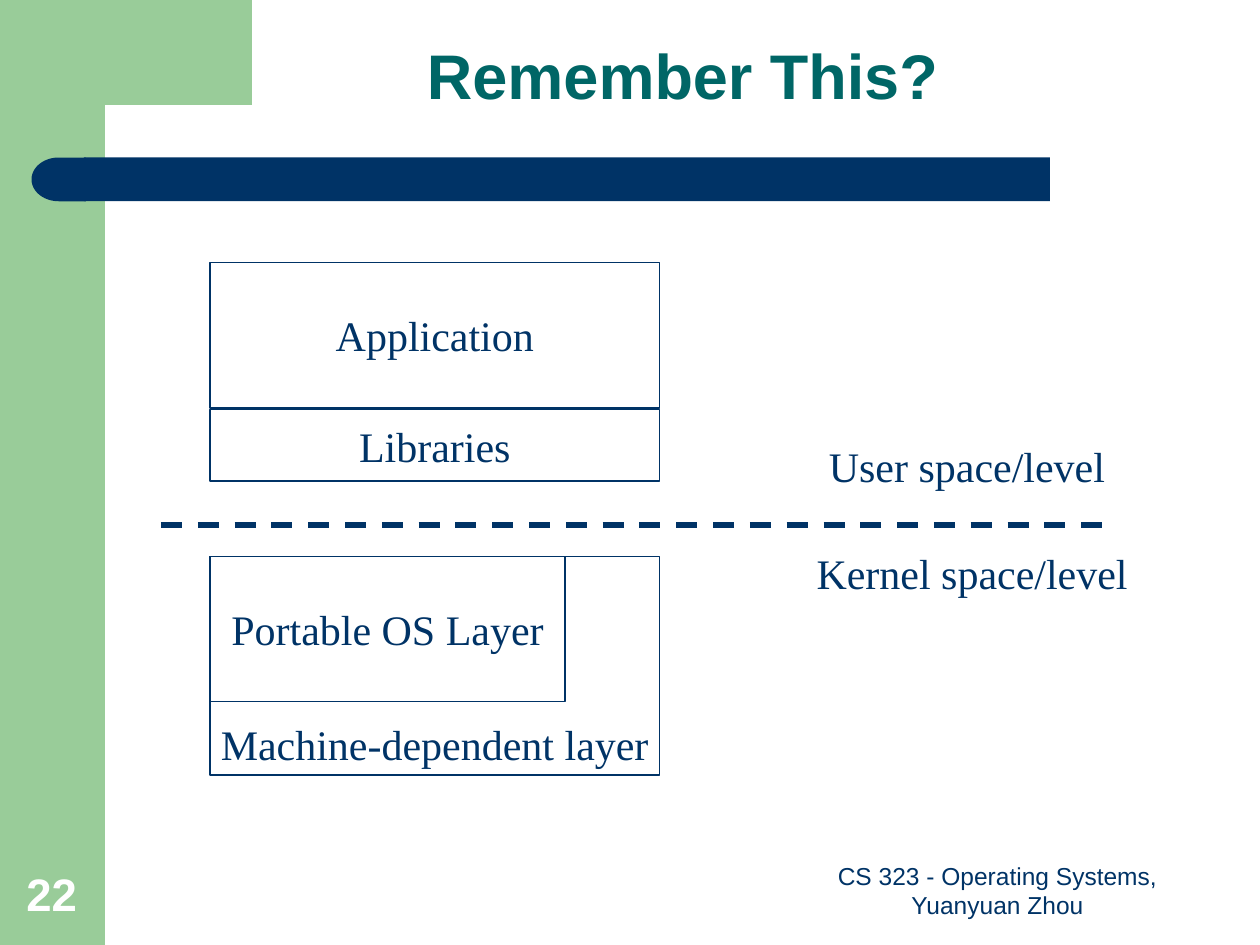
import pptx
import pptx.util
import pptx.dml.color
import pptx.enum.dml
import pptx.enum.shapes
import pptx.enum.text
import pptx.oxml

Pt = pptx.util.Pt
RGB = pptx.dml.color.RGBColor.from_string
SHAPES = pptx.enum.shapes.MSO_SHAPE
ALIGN = pptx.enum.text.PP_ALIGN
ANCHOR = pptx.enum.text.MSO_ANCHOR

colors = {"green": "99CC99", "navy": "003366", "teal": "006666", "white": "FFFFFF"}
label_font = {"name": "Times New Roman", "size": Pt(24), "bold": False}
title_font = {"name": "Arial", "size": Pt(36), "bold": True}
footer_font = {"name": "Arial", "size": Pt(14), "bold": False}
number_font = {"name": "Arial", "size": Pt(26), "bold": True}

deck = pptx.Presentation()
deck.slide_width, deck.slide_height = Pt(720), Pt(540)
slide = deck.slides.add_slide(deck.slide_layouts[6])
shapes = slide.shapes


def paint(shape, color):
    shape.shadow.inherit = False
    shape.fill.solid()
    shape.fill.fore_color.rgb = RGB(colors[color])
    shape.line.fill.background()


def write(shape, text, font, color, align, anchor, wrap):
    frame = shape.text_frame
    frame.word_wrap = wrap
    frame.vertical_anchor = anchor
    paragraph = frame.paragraphs[0]
    paragraph.text = text
    paragraph.alignment = align
    for attribute, value in font.items():
        setattr(paragraph.font, attribute, value)
    paragraph.font.color.rgb = RGB(colors[color])
    return paragraph


sidebar = shapes.add_shape(SHAPES.RECTANGLE, 0, 0, Pt(60), Pt(540))
paint(sidebar, "green")

corner_outline = shapes.build_freeform(144, 0, scale=Pt(1))
corner_outline.add_line_segments(
    [(144, 60), (60, 60), (55, 61), (51, 66), (49, 75), (48, 84), (48, 92), (36, 92), (36, 0)]
)
paint(corner_outline.convert_to_shape(), "green")

title_bar = shapes.add_shape(SHAPES.RECTANGLE, Pt(48), Pt(90), Pt(552), Pt(25))
paint(title_bar, "navy")
bar_cap = shapes.add_shape(SHAPES.FLOWCHART_DELAY, Pt(18), Pt(90), Pt(31), Pt(25))
bar_cap.rotation = 180
paint(bar_cap, "navy")

layers = [
    ("Application", 150, 257, 83, ANCHOR.MIDDLE),
    ("Portable OS Layer", 318, 203, 83, ANCHOR.MIDDLE),
    ("Libraries", 234, 257, 41, ANCHOR.MIDDLE),
    ("Machine-dependent layer", 318, 257, 125, ANCHOR.BOTTOM),
]
for name, top, width, height, anchor in layers:
    layer = shapes.add_shape(SHAPES.RECTANGLE, Pt(120), Pt(top), Pt(width), Pt(height))
    layer.shadow.inherit = False
    layer.fill.background()
    layer.line.color.rgb = RGB(colors["navy"])
    layer.line.width = Pt(1)
    write(layer, name, label_font, "navy", ALIGN.CENTER, anchor, False)

boundary = shapes.add_connector(
    pptx.enum.shapes.MSO_CONNECTOR.STRAIGHT, Pt(92), Pt(300), Pt(630), Pt(300)
)
boundary.line.color.rgb = RGB(colors["navy"])
boundary.line.width = Pt(3)
boundary.line.dash_style = pptx.enum.dml.MSO_LINE.DASH
boundary._element.spPr.append(
    pptx.oxml.parse_xml(
        '<a:effectLst xmlns:a="http://schemas.openxmlformats.org/drawingml/2006/main"/>'
    )
)

captions = [
    ("Remember This?", 78, 0, 624, 90, title_font, "teal", ALIGN.CENTER, ANCHOR.MIDDLE, True),
    ("User space/level", 466.5, 248, 173, 36, label_font, "navy", ALIGN.LEFT, ANCHOR.TOP, False),
    ("Kernel space/level", 459.5, 309.5, 193, 36, label_font, "navy", ALIGN.LEFT, ANCHOR.TOP, False),
    ("CS 323 - Operating Systems, Yuanyuan Zhou", 456, 491.5, 228, 37.5,
     footer_font, "navy", ALIGN.CENTER, ANCHOR.BOTTOM, True),
    ("22", 8, 491.5, 46, 38, number_font, "white", ALIGN.LEFT, ANCHOR.BOTTOM, True),
]
for text, left, top, width, height, font, color, align, anchor, wrap in captions:
    caption = shapes.add_textbox(Pt(left), Pt(top), Pt(width), Pt(height))
    paragraph = write(caption, text, font, color, align, anchor, wrap)
    if font is title_font:
        paragraph.line_spacing = 0.9
    if not wrap:
        caption.text_frame.auto_size = pptx.enum.text.MSO_AUTO_SIZE.SHAPE_TO_FIT_TEXT

deck.save("out.pptx")
